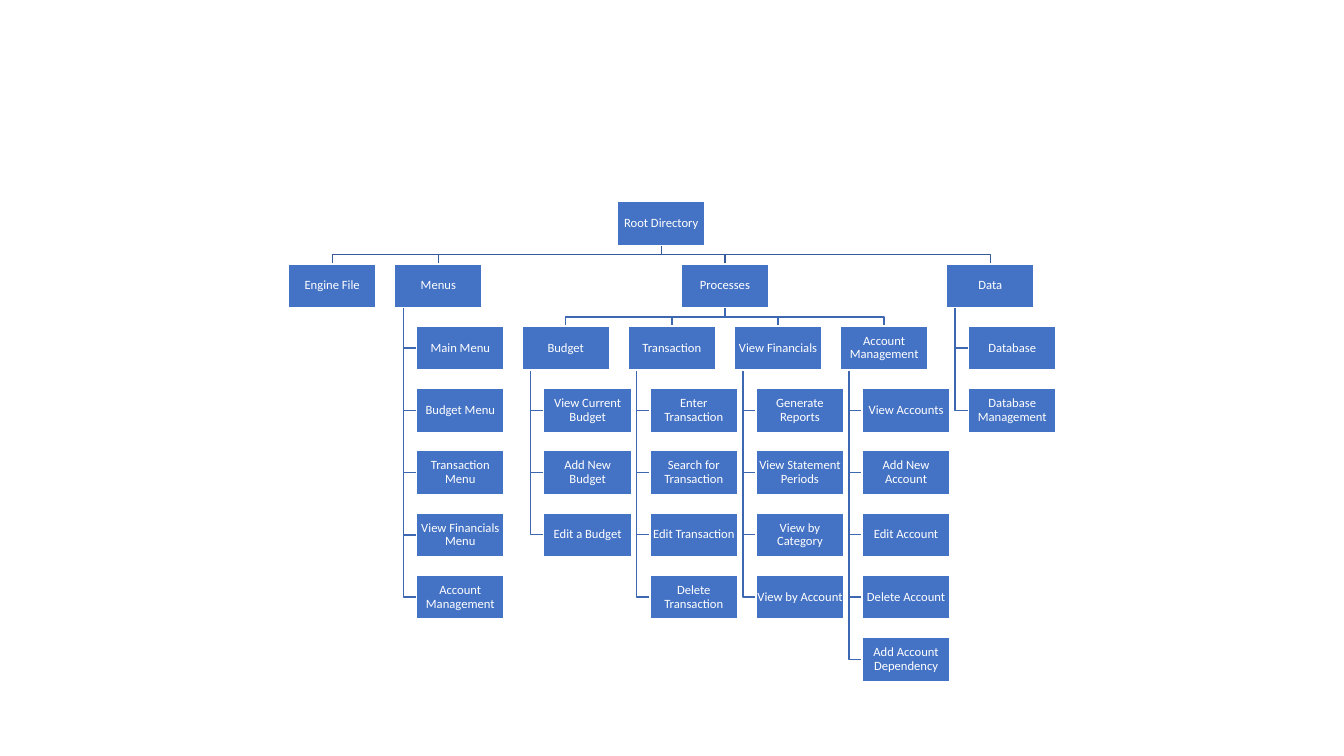
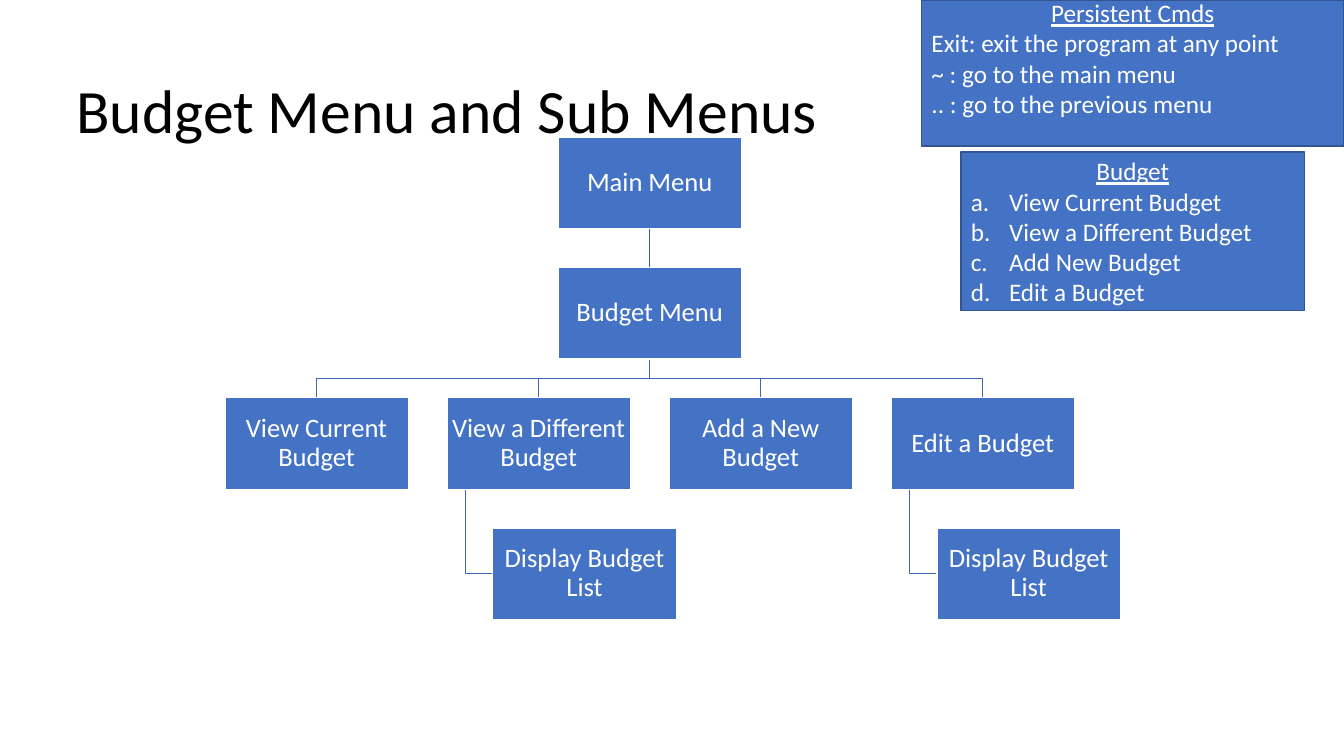
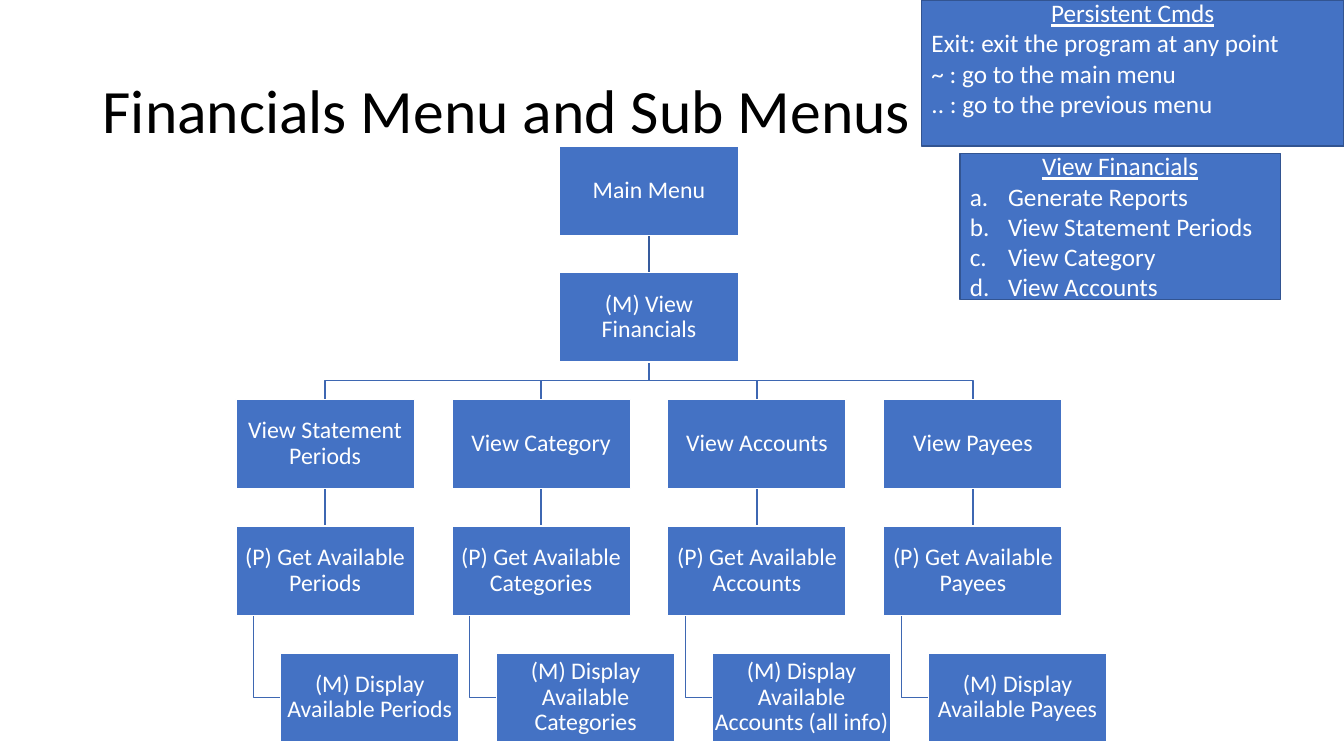
from pptx import Presentation
from pptx.util import Inches, Pt
from pptx.dml.color import RGBColor
from pptx.enum import shapes, text
from pptx.oxml.ns import qn
from lxml import etree

BLUE = RGBColor(0x44, 0x72, 0xC4)
EDGE = RGBColor(0x32, 0x54, 0x91)
TRUNK = RGBColor(0x36, 0x5B, 0x9D)
TWIG = RGBColor(0x3E, 0x67, 0xB2)
WHITE = RGBColor(255, 255, 255)
BLACK = RGBColor(0, 0, 0)
LEFT, MID = text.PP_ALIGN.LEFT, text.PP_ALIGN.CENTER

COLUMN, ROW, INDENT, STEM = 1.21, 1.42, 0.25, 0.1

CMDS = ((9.14, 0, 4.19, 1.45), 0.35, "Persistent Cmds", False, [
    "Exit: exit the program at any point",
    "~ : go to the main menu",
    ".. : go to the previous menu"])

# Each node: name, column, row, parent index, hanging items
SLIDES = [
    dict(title=None, panels=[], left=2.86, top=2, wide=0.87, size=9, nodes=[
        ("Root Directory", 3.1, 0, None, []),
        ("Engine File", 0, 1, 0, []),
        ("Menus", 1, 1, 0, ["Main Menu", "Budget Menu", "Transaction Menu",
                            "View Financials Menu", "Account Management"]),
        ("Processes", 3.7, 1, 0, []),
        ("Data", 6.2, 1, 0, ["Database", "Database Management"]),
        ("Budget", 2.2, 2, 3, ["View Current Budget", "Add New Budget",
                               "Edit a Budget"]),
        ("Transaction", 3.2, 2, 3, ["Enter Transaction", "Search for Transaction",
                                    "Edit Transaction", "Delete Transaction"]),
        ("View Financials", 4.2, 2, 3, ["Generate Reports", "View Statement Periods",
                                        "View by Category", "View by Account"]),
        ("Account Management", 5.2, 2, 3, ["View Accounts", "Add New Account",
                                           "Edit Account", "Delete Account",
                                           "Add Account Dependency"]),
    ]),
    dict(title=(0.66, "Budget Menu and Sub Menus"), panels=[CMDS, (
        (9.53, 1.51, 3.41, 1.57), 0.05, "Budget", True,
        ["View Current Budget", "View a Different Budget", "Add New Budget",
         "Edit a Budget"])],
        left=2.23, top=1.36, wide=1.82, size=19, nodes=[
        ("Main Menu", 1.5, 0, None, []),
        ("Budget Menu", 1.5, 1, 0, []),
        ("View Current Budget", 0, 2, 1, []),
        ("View a Different Budget", 1, 2, 1, ["Display Budget List"]),
        ("Add a New Budget", 2, 2, 1, []),
        ("Edit a Budget", 3, 2, 1, ["Display Budget List"]),
    ]),
    dict(title=(0.92, "Financials Menu and Sub Menus"), panels=[CMDS, (
        (9.52, 1.52, 3.18, 1.45), 0.05, "View Financials", True,
        ["Generate Reports", "View Statement Periods", "View Category",
         "View Accounts"])],
        left=2.34, top=1.45, wide=1.77, size=17, nodes=[
        ("Main Menu", 1.5, 0, None, []),
        ("(M) View Financials", 1.5, 1, 0, []),
        ("View Statement Periods", 0, 2, 1, []),
        ("View Category", 1, 2, 1, []),
        ("View Accounts", 2, 2, 1, []),
        ("View Payees", 3, 2, 1, []),
        ("(P) Get Available Periods", 0, 3, 2, ["(M) Display Available Periods"]),
        ("(P) Get Available Categories", 1, 3, 3, ["(M) Display Available Categories"]),
        ("(P) Get Available Accounts", 2, 3, 4,
         ["(M) Display Available Accounts (all info)"]),
        ("(P) Get Available Payees", 3, 3, 5, ["(M) Display Available Payees"]),
    ]),
]
SLIDES_CLEAN = SLIDES


def write(par, words, size, color, align):
    par.alignment = align
    run = par.add_run()
    run.text = words
    run.font.name = "Calibri"
    run.font.size = Pt(size)
    run.font.color.rgb = color
    return run


def block(slide, area, edge):
    box = slide.shapes.add_shape(shapes.MSO_SHAPE.RECTANGLE, *map(Inches, area))
    box.shadow.inherit = False
    box.fill.solid()
    box.fill.fore_color.rgb = BLUE
    box.line.color.rgb = edge
    box.line.width = Pt(1)
    return box


deck = Presentation()
deck.slide_width, deck.slide_height = Inches(13.33), Inches(7.5)

for page in SLIDES_CLEAN:
    slide = deck.slides.add_slide(deck.slide_layouts[6])

    if page["title"]:
        left, words = page["title"]
        frame = slide.shapes.add_textbox(
            Inches(left), Inches(0.4), Inches(11.5), Inches(1.45)).text_frame
        frame.word_wrap = True
        frame.vertical_anchor = text.MSO_ANCHOR.MIDDLE
        frame.paragraphs[0].line_spacing = 0.9
        write(frame.paragraphs[0], words, 44, BLACK, LEFT)

    for area, base, head, listed, lines in page["panels"]:
        frame = block(slide, area, EDGE).text_frame
        frame.margin_bottom = Inches(base)
        write(frame.paragraphs[0], head, 18, WHITE, MID).font.underline = True
        for line in lines:
            par = frame.add_paragraph()
            write(par, line, 18, WHITE, LEFT)
            if listed:
                prop = par._p.get_or_add_pPr()
                prop.set("marL", str(Inches(0.38)))
                prop.set("indent", str(-Inches(0.38)))
                etree.SubElement(prop, qn("a:buAutoNum"), type="alphaLcPeriod")

    wide, nodes = page["wide"], page["nodes"]
    high = wide / 2
    step = high * ROW
    spots = [(page["left"] + col * wide * COLUMN, page["top"] + row * step)
             for _, col, row, _, _ in nodes]
    boxes, links = [], []
    for (name, _, _, boss, items), (x, y) in zip(nodes, spots):
        boxes.append((name, x, y))
        if boss is not None:
            color = TWIG if boss else TRUNK
            start = spots[boss][0] + wide / 2
            end = x + wide / 2
            foot = spots[boss][1] + high
            bend = (foot + y) / 2
            route = [(start, foot), (start, bend), (end, bend), (end, y)]
            links.append((color, [route[0], route[-1]] if start == end else route))
        for i, item in enumerate(items, 1):
            side, drop = x + wide * INDENT, y + i * step
            boxes.append((item, side, drop))
            stem = x + wide * STEM
            links.append((TWIG, [(stem, y + high), (stem, drop + high / 2),
                                 (side, drop + high / 2)]))

    for color, route in links:
        ends = [(Inches(x), Inches(y)) for x, y in route]
        if len(ends) == 2:
            line = slide.shapes.add_connector(
                shapes.MSO_CONNECTOR.STRAIGHT, *ends[0], *ends[1])
            etree.SubElement(line._element.spPr, qn("a:effectLst"))
        else:
            path = slide.shapes.build_freeform(*ends[0])
            path.add_line_segments(ends[1:], close=False)
            line = path.convert_to_shape()
            line.shadow.inherit = False
            line.fill.background()
        line.line.color.rgb = color
        line.line.width = Pt(1)

    for name, x, y in boxes:
        frame = block(slide, (x, y, wide, high), WHITE).text_frame
        frame.margin_left = frame.margin_right = Inches(0.01)
        frame.margin_top = frame.margin_bottom = Inches(0.01)
        frame.paragraphs[0].line_spacing = 0.9
        write(frame.paragraphs[0], name, page["size"], WHITE, MID)

deck.save("out.pptx")
